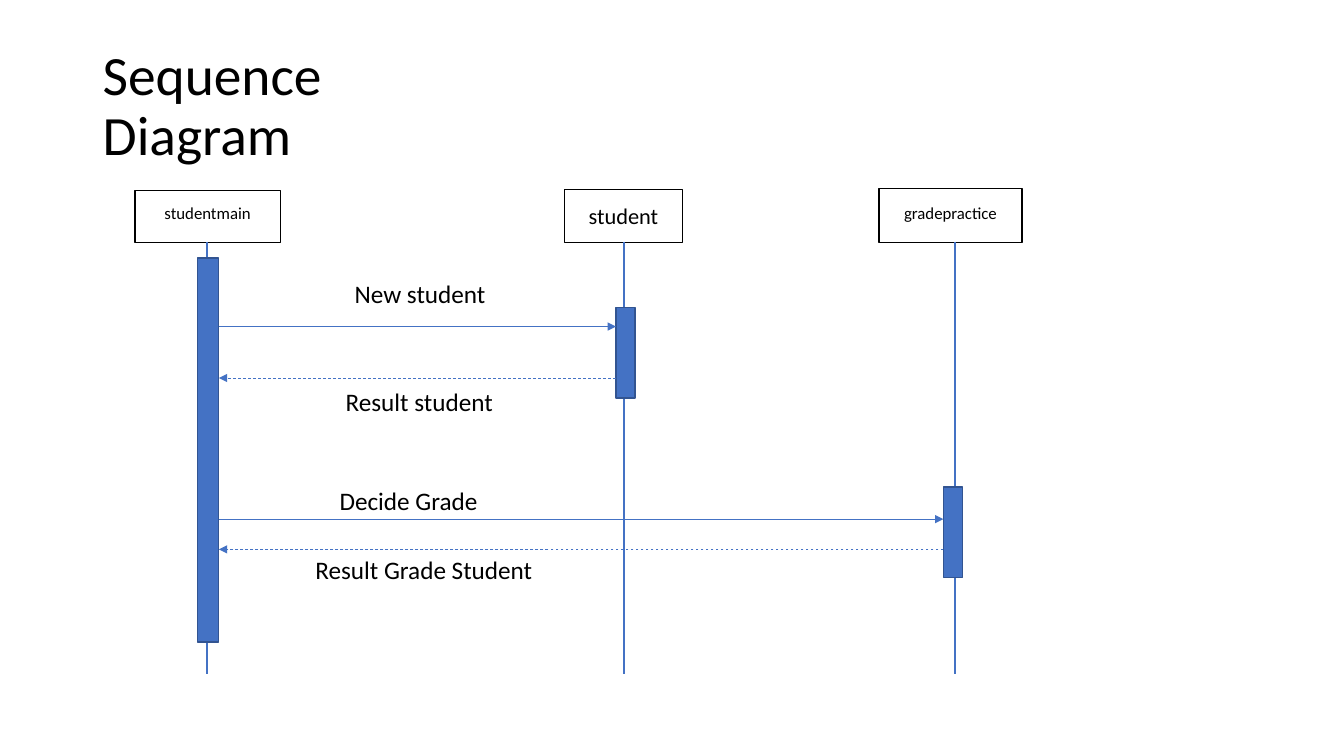
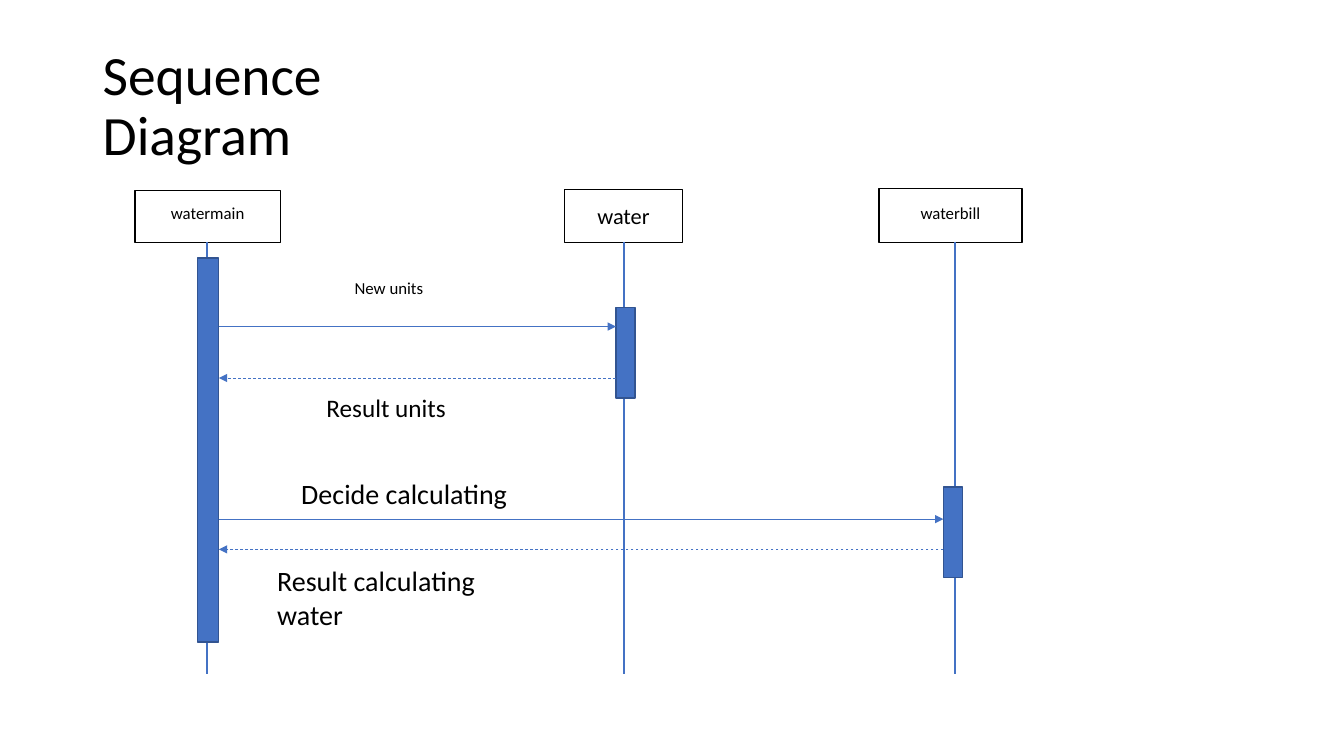
from dataclasses import dataclass

from lxml.etree import SubElement
from pptx import Presentation
from pptx.dml.color import RGBColor
from pptx.enum.dml import MSO_LINE
from pptx.enum.shapes import MSO_CONNECTOR, MSO_SHAPE
from pptx.enum.text import MSO_ANCHOR, MSO_AUTO_SIZE, PP_ALIGN
from pptx.oxml.ns import qn
from pptx.util import Inches, Pt

BLACK, BLUE, NAVY, WHITE = "000000", "4472C4", "325491", "FFFFFF"
FONT = "Calibri"
HEAD_BOTTOM, LIFE_TOP, LIFE_BOTTOM = 32.1, 32, 89.2
HEAD_LABEL_TOP, HEAD_LABEL_INSET = 26.13, 0.8


@dataclass
class Participant:
    """Places of one lifeline, in percent of the slide's width and height."""
    head_left: float
    head_top: float
    head_width: float
    label_size: int
    axis: float
    bar_left: float
    bar_top: float
    bar_width: float
    bar_height: float

    @property
    def bar_right(self):
        """Right edge of the activation bar."""
        return self.bar_left + self.bar_width


CALLER = Participant(10.05, 25.2, 10.8, 12, 15.38, 14.7, 34.13, 1.58, 50.8)
ENTITY = Participant(42, 25.07, 8.78, 16, 46.43, 45.83, 40.67, 1.43, 12)
SERVICE = Participant(65.4, 24.93, 10.65, 12, 71.03, 70.2, 64.4, 1.43, 12)
PARTICIPANTS = (CALLER, ENTITY, SERVICE)

# Partner, height and whether the message is an answer
MESSAGES = (
    (SERVICE, 68.67, False),
    (ENTITY, 43.2, False),
    (ENTITY, 50, True),
    (SERVICE, 72.67, True),
)

# Names of the participants, then message labels: text, left, top, width, size
DIAGRAMS = (
    (("studentmain", "student", "gradepractice"), (
        ("Decide Grade", 24.53, 63.6, 17.1, 18),
        ("Result Grade Student", 22.73, 72.67, 23.25, 18),
        ("New student", 25.65, 36.13, 11.33, 18),
        ("Result student", 24.98, 50.4, 15.83, 18),
    )),
    (("watermain", "water", "waterbill"), (
        ("New units", 25.65, 36.13, 11.33, 12),
        ("Decide calculating", 21.68, 62.4, 17.1, 20),
        ("Result calculating water", 19.88, 73.87, 21, 20),
        ("Result units", 23.55, 51.2, 12.23, 18),
    )),
)


def color(code):
    """Turn a hex string into a colour."""
    return RGBColor.from_string(code)


class SequenceDeck:
    """Holds the presentation, its style and the current slide."""

    def __init__(self):
        """Start a wide presentation."""
        self.deck = Presentation()
        self.deck.slide_width = Inches(13.33)
        self.deck.slide_height = Inches(7.5)
        self.slide = None

    def x(self, percent):
        """Share of the slide's width."""
        return round(self.deck.slide_width * percent / 100)

    def y(self, percent):
        """Share of the slide's height."""
        return round(self.deck.slide_height * percent / 100)

    def new_slide(self):
        """Add a white slide and its title."""
        self.slide = self.deck.slides.add_slide(self.deck.slide_layouts[6])
        background = self.slide.background.fill
        background.solid()
        background.fore_color.rgb = color(WHITE)
        title = self.text("Sequence Diagram", 6.9, 5.33, 20.93, 39.6)
        title.auto_size = MSO_AUTO_SIZE.NONE
        title.vertical_anchor = MSO_ANCHOR.MIDDLE
        title.paragraphs[0].line_spacing = 0.9

    def text(self, words, left, top, width, size, align=PP_ALIGN.LEFT):
        """Add a wrapped text box and return its frame."""
        height = self.y(17.87) if size > 20 else Inches(0.1 + size / 60)
        box = self.slide.shapes.add_textbox(
            self.x(left), self.y(top), self.x(width), height)
        frame = box.text_frame
        frame.word_wrap = True
        frame.auto_size = MSO_AUTO_SIZE.SHAPE_TO_FIT_TEXT
        paragraph = frame.paragraphs[0]
        paragraph.alignment = align
        run = paragraph.add_run()
        run.text = words
        run.font.name = FONT
        run.font.size = Pt(size)
        run.font.color.rgb = color(BLACK)
        return frame

    def rectangle(self, left, top, width, height, outline, fill=None):
        """Add a rectangle, hollow unless a fill is given."""
        shape = self.slide.shapes.add_shape(
            MSO_SHAPE.RECTANGLE,
            self.x(left), self.y(top), self.x(width), self.y(height))
        shape.shadow.inherit = False
        shape.line.color.rgb = color(outline)
        shape.line.width = Pt(1)
        if fill:
            shape.fill.solid()
            shape.fill.fore_color.rgb = color(fill)
        else:
            shape.fill.background()

    def line(self, start, end, weight):
        """Add a straight blue line and return it."""
        line = self.slide.shapes.add_connector(
            MSO_CONNECTOR.STRAIGHT,
            self.x(start[0]), self.y(start[1]), self.x(end[0]), self.y(end[1]))
        line.line.color.rgb = color(BLUE)
        line.line.width = Pt(weight)
        SubElement(line._element.spPr, qn("a:effectLst"))
        return line

    def message(self, partner, height, is_answer):
        """Draw a call from the caller, or a dashed answer back to it."""
        ends = [(CALLER.bar_right, height), (partner.bar_left, height)]
        if is_answer:
            ends.reverse()
        arrow = self.line(*ends, 0.5)
        if is_answer:
            arrow.line.dash_style = MSO_LINE.DASH
        SubElement(arrow.line._get_or_add_ln(), qn("a:tailEnd"), type="triangle")

    def head(self, who, name):
        """Draw a participant's box and name."""
        self.rectangle(who.head_left, who.head_top, who.head_width,
                       HEAD_BOTTOM - who.head_top, BLACK)
        self.text(name, who.head_left + HEAD_LABEL_INSET, HEAD_LABEL_TOP,
                  who.head_width - 2 * HEAD_LABEL_INSET, who.label_size,
                  PP_ALIGN.CENTER)

    def lifeline(self, who):
        """Draw a participant's lifeline and activation bar."""
        self.line((who.axis, LIFE_TOP), (who.axis, LIFE_BOTTOM), 1.5)

    def activation(self, who):
        """Draw a participant's activation bar."""
        self.rectangle(who.bar_left, who.bar_top, who.bar_width,
                       who.bar_height, NAVY, BLUE)

    def diagram(self, names, labels):
        """Build one slide with its sequence diagram."""
        self.new_slide()
        for who, name in zip(PARTICIPANTS, names):
            self.head(who, name)
        for who in PARTICIPANTS:
            self.lifeline(who)
        for who in PARTICIPANTS:
            self.activation(who)
        for message in MESSAGES:
            self.message(*message)
        for label in labels:
            self.text(*label)


sequences = SequenceDeck()
for names, labels in DIAGRAMS:
    sequences.diagram(names, labels)
sequences.deck.save("out.pptx")
